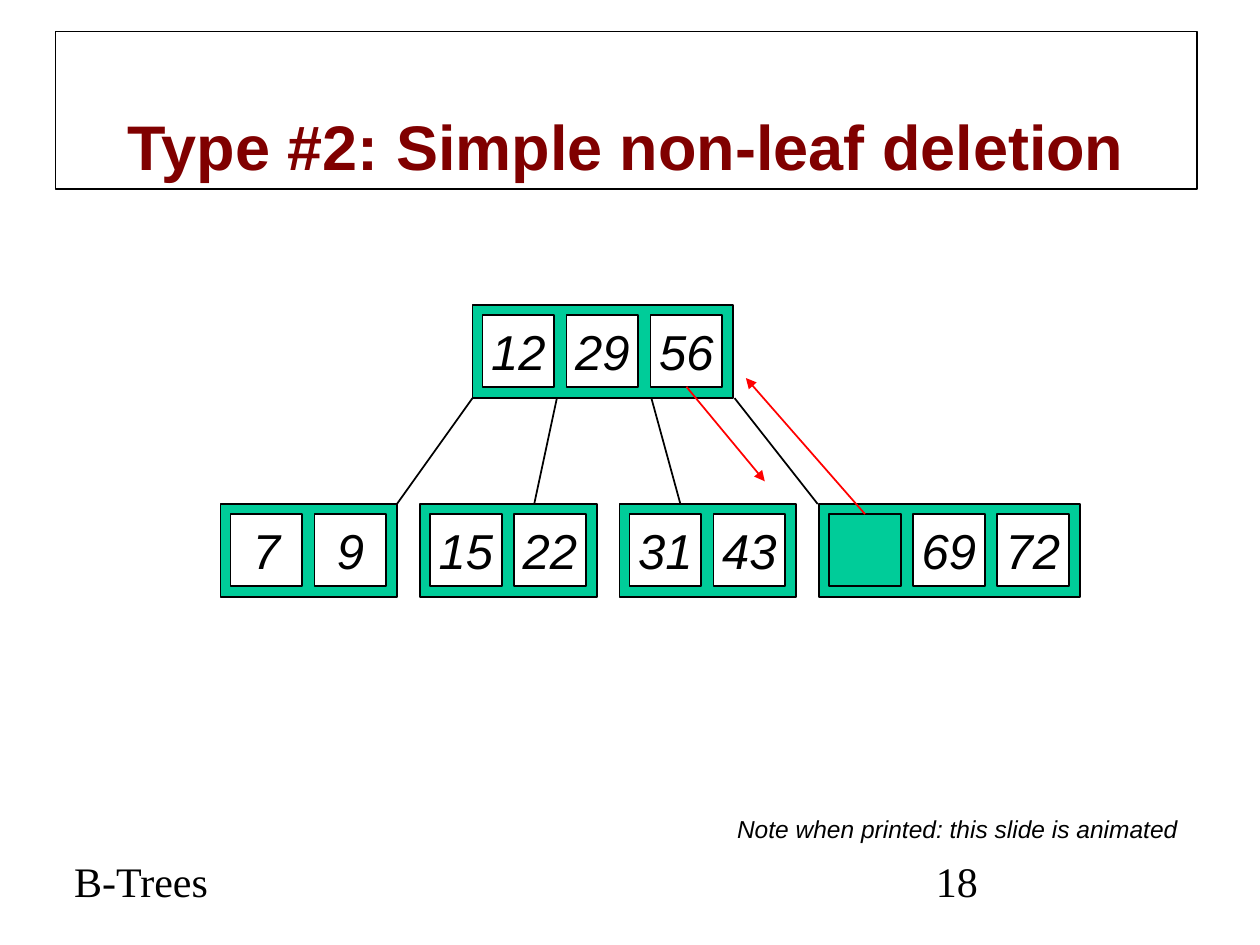
import lxml.etree
import pptx
import pptx.dml.color
import pptx.enum.dml
import pptx.enum.shapes
import pptx.enum.text
import pptx.oxml.ns
import pptx.util

Inches = pptx.util.Inches
Align = pptx.enum.text.PP_ALIGN
Anchor = pptx.enum.text.MSO_ANCHOR

BLACK, WHITE, GREEN, RED, MAROON = "000000", "FFFFFF", "00CC99", "FF0000", "800000"
KEY_FORMAT = {"name": "Arial", "size": pptx.util.Pt(28), "italic": True}
NOTE_FORMAT = {"name": "Arial", "size": pptx.util.Pt(14), "italic": True}
TITLE_FORMAT = {"name": "Arial", "size": pptx.util.Pt(36), "bold": True}
FOOTER_FORMAT = {"name": "Times New Roman", "size": pptx.util.Pt(24)}

ROOT_LEFT, ROOT_TOP = 3.75, 2.42
LEAF_LEFT, LEAF_TOP = 1.75, 4
LEAF_STEP = 4.75 / 3
KEY_SIZE, KEY_STEP, KEY_INSET = 0.57, 2 / 3, 0.08
NODE_HEIGHT = 0.74
LEAVES = [["7", "9"], ["15", "22"], ["31", "43"], ["", "69", "72"]]
# Horizontal start and end of each edge from the root to a leaf
EDGES = [(3.75, 3.15), (4.42, 4.24), (5.17, 5.4), (5.83, 6.49)]


def color(value):
    return pptx.dml.color.RGBColor.from_string(value)


def set_text(shape, text, font_format, font_color=BLACK, align=Align.CENTER,
             anchor=Anchor.MIDDLE, wrap=False):
    frame = shape.text_frame
    frame.text = text
    frame.word_wrap = wrap
    frame.vertical_anchor = anchor
    paragraph = frame.paragraphs[0]
    paragraph.alignment = align
    for name, value in font_format.items():
        setattr(paragraph.font, name, value)
    paragraph.font.color.rgb = color(font_color)


def set_line(shape, line_color=BLACK, width=1):
    shape.line.color.rgb = color(line_color)
    shape.line.width = pptx.util.Pt(width)


def add_box(slide, left, top, width, height, fill):
    box = slide.shapes.add_shape(
        pptx.enum.shapes.MSO_SHAPE.RECTANGLE,
        Inches(left), Inches(top), Inches(width), Inches(height))
    box.shadow.inherit = False
    box.fill.solid()
    box.fill.fore_color.rgb = color(fill)
    set_line(box)
    return box


def add_node(slide, left, top, keys):
    """Draw a node and return its key boxes; an empty key is a removed one."""
    width = KEY_STEP * len(keys) + 0.07
    add_box(slide, left, top, width, NODE_HEIGHT, GREEN)
    boxes = []
    for index, key in enumerate(keys):
        box = add_box(slide, left + KEY_INSET + index * KEY_STEP, top + KEY_INSET,
                      KEY_SIZE, KEY_SIZE, WHITE if key else GREEN)
        if key:
            set_text(box, key, KEY_FORMAT)
        boxes.append(box)
    return boxes


def add_line(slide, start, end, line_color=BLACK):
    line = slide.shapes.add_connector(
        pptx.enum.shapes.MSO_CONNECTOR.STRAIGHT, *map(Inches, start + end))
    set_line(line, line_color)
    properties = line._element.spPr
    lxml.etree.SubElement(properties, pptx.oxml.ns.qn("a:effectLst"))
    return line


def add_move_arrow(slide, box, side, end):
    """Draw a red arrow from the middle of a key box's side."""
    arrow = add_line(slide, end, end, RED)
    arrow.begin_connect(box, side)
    lxml.etree.SubElement(arrow.line._get_or_add_ln(),
                          pptx.oxml.ns.qn("a:tailEnd"), type="triangle")


def add_label(slide, left, top, width, height, text, font_format, **layout):
    label = slide.shapes.add_textbox(
        Inches(left), Inches(top), Inches(width), Inches(height))
    set_text(label, text, font_format, **layout)


def add_title(slide, text):
    title = slide.shapes.title
    title.left, title.top = Inches(0.44), Inches(0.25)
    title.width, title.height = Inches(9.06), Inches(1.25)
    set_line(title, BLACK, 0.75)
    set_text(title, text, TITLE_FORMAT, MAROON, anchor=Anchor.BOTTOM, wrap=True)


def main():
    presentation = pptx.Presentation()
    presentation.slide_width, presentation.slide_height = Inches(10), Inches(7.5)
    slide = presentation.slides.add_slide(presentation.slide_layouts[5])
    add_title(slide, "Type #2: Simple non-leaf deletion")

    root_keys = add_node(slide, ROOT_LEFT, ROOT_TOP, ["12", "29", "56"])
    leaf_keys = [add_node(slide, LEAF_LEFT + index * LEAF_STEP, LEAF_TOP, keys)
                 for index, keys in enumerate(LEAVES)]
    for start, end in EDGES:
        add_line(slide, (start, ROOT_TOP + NODE_HEIGHT), (end, LEAF_TOP))

    add_move_arrow(slide, root_keys[-1], 2, (6.07, 3.82))
    add_move_arrow(slide, leaf_keys[-1][0], 0, (5.92, 3))

    add_label(slide, 5.75, 6.41, 3.7, 0.34,
              "Note when printed: this slide is animated", NOTE_FORMAT)
    footer_layout = {"align": Align.LEFT, "anchor": Anchor.BOTTOM, "wrap": True}
    add_label(slide, 0.49, 6.75, 2.99, 0.49, "B-Trees", FOOTER_FORMAT, **footer_layout)
    add_label(slide, 7.33, 6.75, 2.07, 0.49, "18", FOOTER_FORMAT, **footer_layout)

    presentation.save("out.pptx")


if __name__ == "__main__":
    main()
